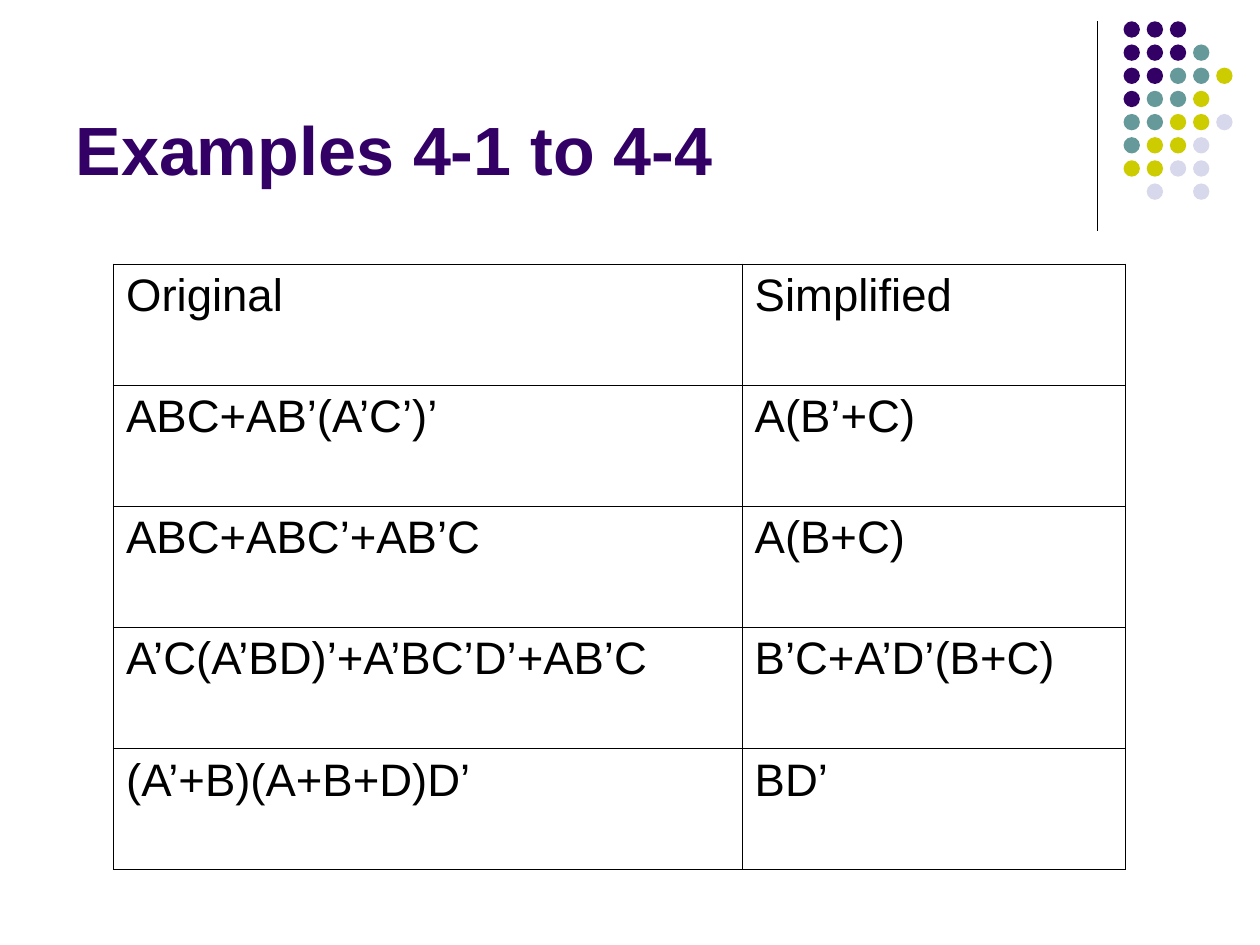
from lxml import etree
from pptx import Presentation
from pptx.dml.color import RGBColor
from pptx.enum.shapes import MSO_CONNECTOR, MSO_SHAPE
from pptx.enum.text import MSO_ANCHOR, MSO_AUTO_SIZE, PP_ALIGN
from pptx.oxml.ns import qn
from pptx.util import Cm, Pt

LINE, OVAL = MSO_CONNECTOR.STRAIGHT, MSO_SHAPE.OVAL
LEFT, BOTTOM, TOP = PP_ALIGN.LEFT, MSO_ANCHOR.BOTTOM, MSO_ANCHOR.TOP
NO_FIT = MSO_AUTO_SIZE.NONE

# Content
TITLE = "Examples 4-1 to 4-4"
ROWS = [
    ("Original", "Simplified"),
    ("ABC+AB’(A’C’)’", "A(B’+C)"),
    ("ABC+ABC’+AB’C", "A(B+C)"),
    ("A’C(A’BD)’+A’BC’D’+AB’C", "B’C+A’D’(B+C)"),
    ("(A’+B)(A+B+D)D’", "BD’"),
]
# One letter per dot: purple, teal, olive, grey
DOTS = ["PPP", "PPPT", "PPTTO", "PTTO", "TTOOG", "TOOG", "OOGG", " G G"]

COLORS = {"P": "330066", "T": "669999", "O": "CCCC00", "G": "D8D8EC",
          "text": "000000", "line": "000000"}
FONT = "Arial"
COL_WIDTHS = [Cm(12.67), Cm(7.73)]
ROW_HEIGHT = Cm(2.44)
OUTER, INNER = Pt(1.08), Pt(0.45)
DOT_LEFT, DOT_TOP, DOT_SIZE, DOT_STEP = Cm(22.65), Cm(0.43), Cm(0.33), Cm(0.467)


def rgb(name):
    return RGBColor.from_string(COLORS[name])


def write(tf, text, size, color, bold=False):
    p = tf.paragraphs[0]
    p.alignment = LEFT
    r = p.add_run()
    r.text = text
    r.font.name, r.font.size, r.font.bold = FONT, Pt(size), bold
    r.font.color.rgb = rgb(color)


def set_borders(cell, widths):
    """Widths run left, right, top, bottom."""
    tcPr = cell._tc.get_or_add_tcPr()
    for i, (side, width) in enumerate(zip("LRTB", widths)):
        ln = etree.Element(qn(f"a:ln{side}"), w=str(int(width)))
        fill = etree.SubElement(ln, qn("a:solidFill"))
        etree.SubElement(fill, qn("a:srgbClr"), val=COLORS["line"])
        tcPr.insert(i, ln)


prs = Presentation()
prs.slide_width, prs.slide_height = Cm(25.4), Cm(19.05)
s = prs.slides.add_slide(prs.slide_layouts[5])

# Vertical rule beside the dots
rule = s.shapes.add_connector(LINE, Cm(22.12), Cm(0.43), Cm(22.12), Cm(4.65))
rule.line.color.rgb = rgb("line")
rule.line.width = Pt(0.75)
etree.SubElement(rule._element.spPr, qn("a:effectLst"))

# Dot pattern
dots = s.shapes.add_group_shape()
for row, letters in enumerate(DOTS):
    for col, letter in enumerate(letters):
        if letter == " ":
            continue
        dot = dots.shapes.add_shape(OVAL, DOT_LEFT + col * DOT_STEP,
                                    DOT_TOP + row * DOT_STEP, DOT_SIZE, DOT_SIZE)
        dot.shadow.inherit = False
        dot.fill.solid()
        dot.fill.fore_color.rgb = rgb(letter)
        dot.line.fill.background()

# Title
title = s.shapes.title
title.left, title.top, title.width, title.height = Cm(1.27), Cm(0.33), Cm(20.96), Cm(3.61)
tf = title.text_frame
tf.auto_size, tf.word_wrap, tf.vertical_anchor = NO_FIT, True, BOTTOM
write(tf, TITLE, 39, "P", bold=True)

# Table: thick frame, thin inner lines
n_rows, n_cols = len(ROWS), len(COL_WIDTHS)
table = s.shapes.add_table(n_rows, n_cols, Cm(2.29), Cm(5.33),
                           sum(COL_WIDTHS), n_rows * ROW_HEIGHT).table
table.first_row = table.horz_banding = False
for column, width in zip(table.columns, COL_WIDTHS):
    column.width = width
for i, texts in enumerate(ROWS):
    table.rows[i].height = ROW_HEIGHT
    for j, text in enumerate(texts):
        cell = table.cell(i, j)
        cell.vertical_anchor = TOP
        cell.fill.background()
        write(cell.text_frame, text, 26, "text")
        at_edge = (j == 0, j == n_cols - 1, i == 0, i == n_rows - 1)
        set_borders(cell, [OUTER if edge else INNER for edge in at_edge])

prs.save("out.pptx")
